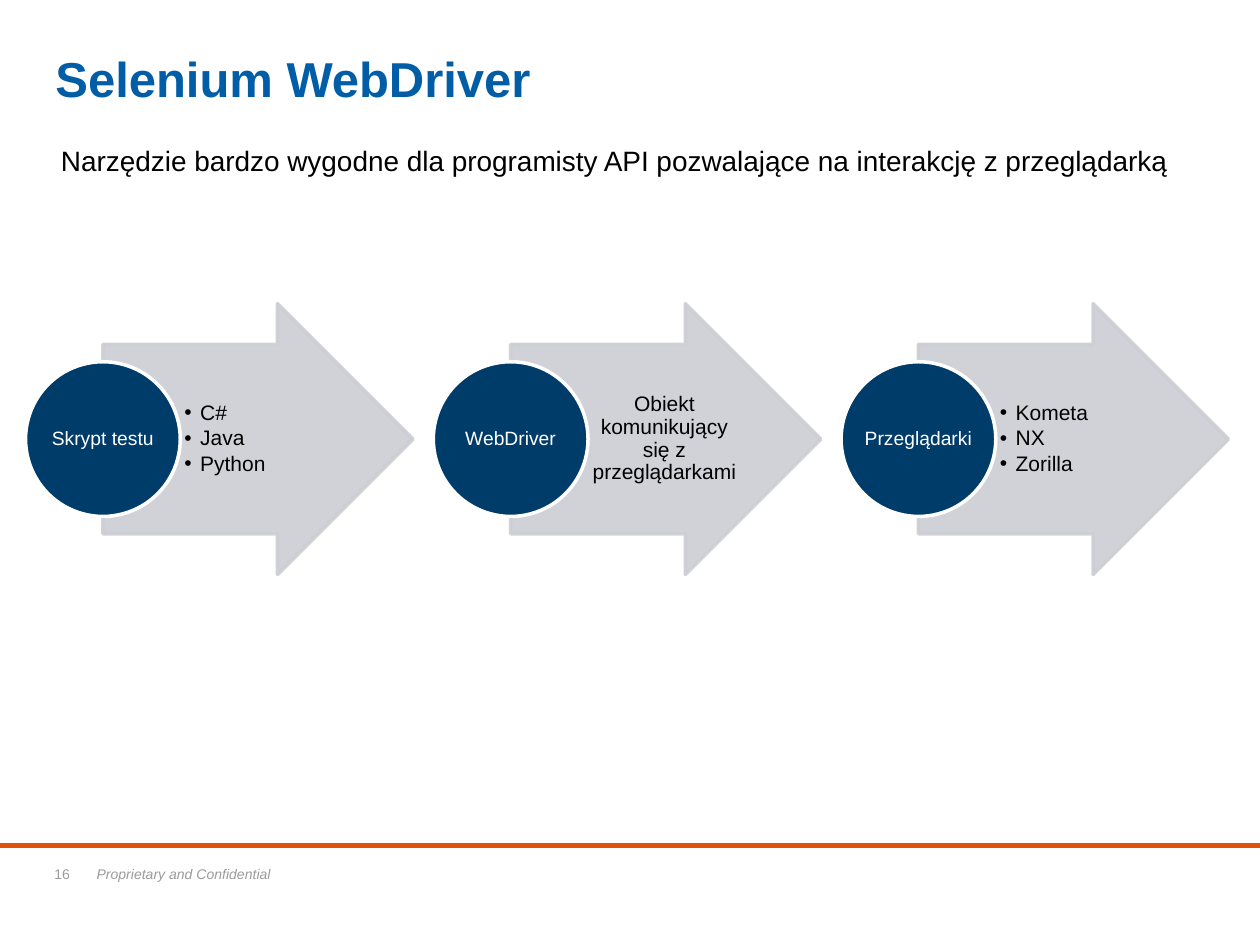
import pptx
import pptx.util
import pptx.dml.color
import pptx.enum.shapes
import pptx.enum.text
import pptx.oxml
import pptx.oxml.ns
import lxml.etree

Pt = pptx.util.Pt
RGBColor = pptx.dml.color.RGBColor
Shape = pptx.enum.shapes.MSO_SHAPE
Align = pptx.enum.text.PP_ALIGN
Anchor = pptx.enum.text.MSO_ANCHOR
qn = pptx.oxml.ns.qn

BLUE = RGBColor(0x00, 0x5D, 0xA6)
NAVY = RGBColor(0x00, 0x3C, 0x69)
GREY = RGBColor(0xCC, 0xCE, 0xD4)
FOOTER_GREY = RGBColor(0x9A, 0x9B, 0x9C)
ORANGE = RGBColor(0xE0, 0x52, 0x06)
BLACK = RGBColor(0, 0, 0)
WHITE = RGBColor(0xFF, 0xFF, 0xFF)

deck = pptx.Presentation()
deck.slide_width, deck.slide_height = Pt(720), Pt(540)
slide = deck.slides.add_slide(deck.slide_layouts[6])


def add_text(box, lines, size, color, margins=(0, 0, 0, 0), anchor=Anchor.TOP,
             font={}, paragraph={}, bullets=False):
    """Add a text box; box is left, top, width, height."""
    frame = slide.shapes.add_textbox(*map(Pt, box)).text_frame
    frame.word_wrap = True
    frame.vertical_anchor = anchor
    for side, margin in zip(("left", "top", "right", "bottom"), margins):
        setattr(frame, "margin_" + side, Pt(margin))
    for index, line in enumerate(lines):
        para = frame.add_paragraph() if index else frame.paragraphs[0]
        run = para.add_run()
        run.text = line
        for name, value in {"name": "Arial", "size": Pt(size), **font}.items():
            setattr(run.font, name, value)
        run.font.color.rgb = color
        for name, value in paragraph.items():
            setattr(para, name, value)
        if bullets:
            props = para._p.get_or_add_pPr()
            props.set("marL", str(Pt(9)))
            props.set("indent", str(-Pt(9)))
            lxml.etree.SubElement(props, qn("a:buFont")).set("typeface", "Arial")
            lxml.etree.SubElement(props, qn("a:buChar")).set("char", "•")


def add_shape(kind, box, fill, line, opacity=100):
    """Add a filled shape with a 2 pt outline."""
    shape = slide.shapes.add_shape(kind, *map(Pt, box))
    shape.shadow.inherit = False
    shape.fill.solid()
    shape.fill.fore_color.rgb = fill
    shape.line.color.rgb = line
    shape.line.width = Pt(2)
    if opacity < 100:
        for color in shape._element.spPr.iter(qn("a:srgbClr")):
            lxml.etree.SubElement(color, qn("a:alpha")).set("val", str(opacity * 1000))
    return shape


# Footer
rule = slide.shapes.add_connector(
    pptx.enum.shapes.MSO_CONNECTOR.STRAIGHT, Pt(0), Pt(483), Pt(720), Pt(483))
rule.line.color.rgb = ORANGE
rule.line.width = Pt(3)
lxml.etree.SubElement(rule._element.spPr, qn("a:effectLst"))
add_text((24, 491, 35, 17), ["16"], 8, FOOTER_GREY, margins=(7.2, 3.6, 7.2, 3.6))
add_text((55.2, 494.6, 444, 9.4), ["Proprietary and Confidential"], 8, FOOTER_GREY,
         font={"italic": True})

# Title and lead sentence
add_text((31.7, 27.6, 658, 38.2), ["Selenium WebDriver"], 28, BLUE,
         font={"bold": True})
add_text((34.8, 82, 655, 24),
         ["Narzędzie bardzo wygodne dla programisty API pozwalające "
          "na interakcję z przeglądarką"], 16, BLACK)

# Process: three arrows, each with a round label and details
STEPS = [
    ("Skrypt testu", ["C#", "Java", "Python"]),
    ("WebDriver", ["Obiekt komunikujący się z przeglądarkami"]),
    ("Przeglądarki", ["Kometa", "NX", "Zorilla"]),
]
FIRST_LEFT, PITCH, MIDDLE = 14.6, 233, 250.9
CIRCLE, LABEL = 88.4, 66
ARROW_WIDTH, ARROW_HEIGHT = 177.2, 154.8
DETAIL_WIDTH, DETAIL_HEIGHT = 86.4, 108.6
CENTERED = {"alignment": Align.CENTER, "line_spacing": 0.9}
LISTED = {"line_spacing": 0.9, "space_after": Pt(1.8)}

for number, (label, details) in enumerate(STEPS):
    left = FIRST_LEFT + number * PITCH
    arrow = add_shape(
        Shape.RIGHT_ARROW,
        (left + CIRCLE / 2, MIDDLE - ARROW_HEIGHT / 2, ARROW_WIDTH, ARROW_HEIGHT),
        GREY, GREY, opacity=90)
    arrow.adjustments[0], arrow.adjustments[1] = 0.7, 0.5
    is_list = len(details) > 1
    add_text((left + CIRCLE, MIDDLE - DETAIL_HEIGHT / 2, DETAIL_WIDTH, DETAIL_HEIGHT),
             details, 12, BLACK, margins=(2.4, 0.7, 1.4, 0.7), anchor=Anchor.MIDDLE,
             paragraph=LISTED if is_list else CENTERED, bullets=is_list)
    add_shape(Shape.OVAL, (left, MIDDLE - CIRCLE / 2, CIRCLE, CIRCLE), NAVY, WHITE)
    add_text((left + (CIRCLE - LABEL) / 2, MIDDLE - LABEL / 2, LABEL, LABEL),
             [label], 11, WHITE, anchor=Anchor.MIDDLE, paragraph=CENTERED)

deck.save("out.pptx")
